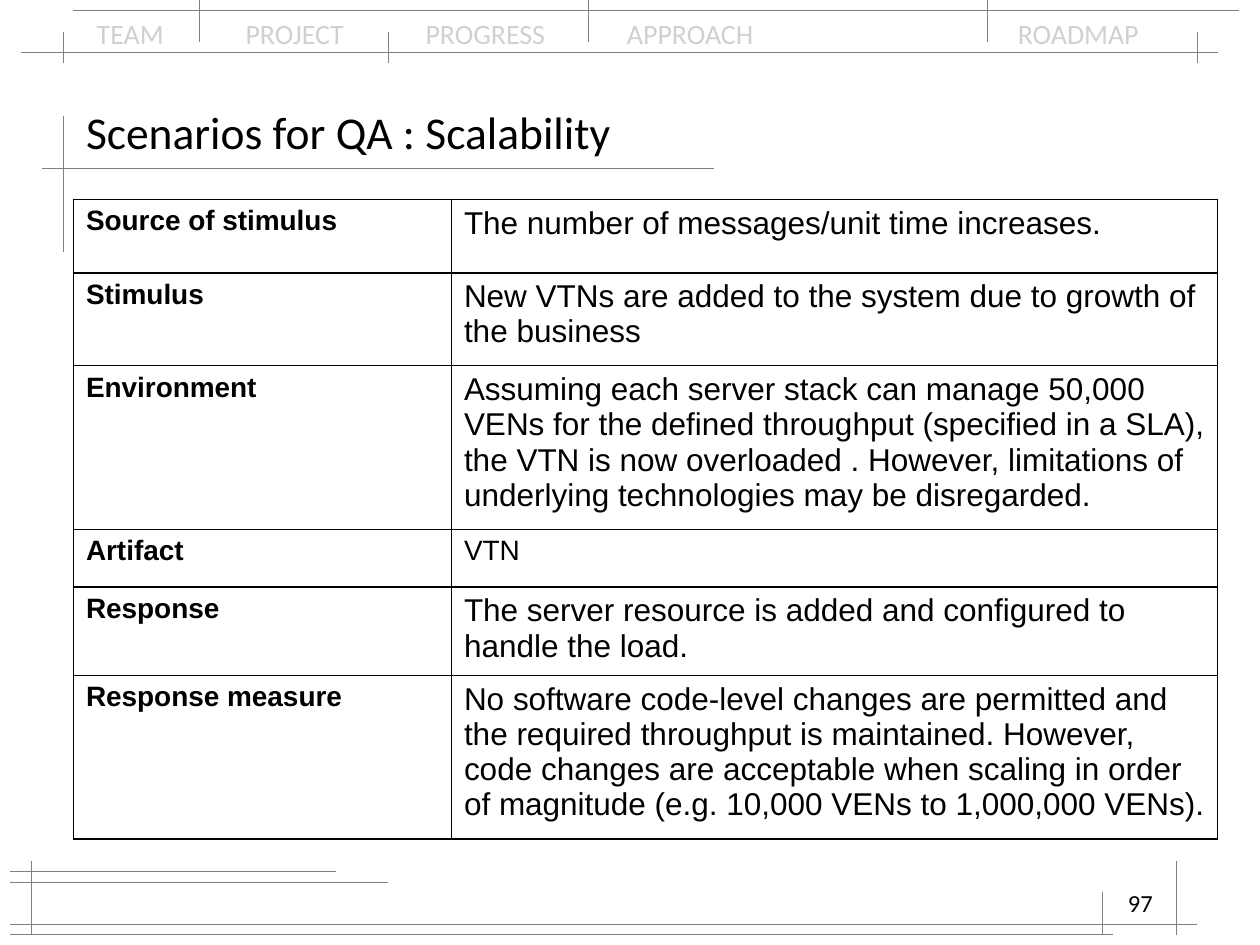
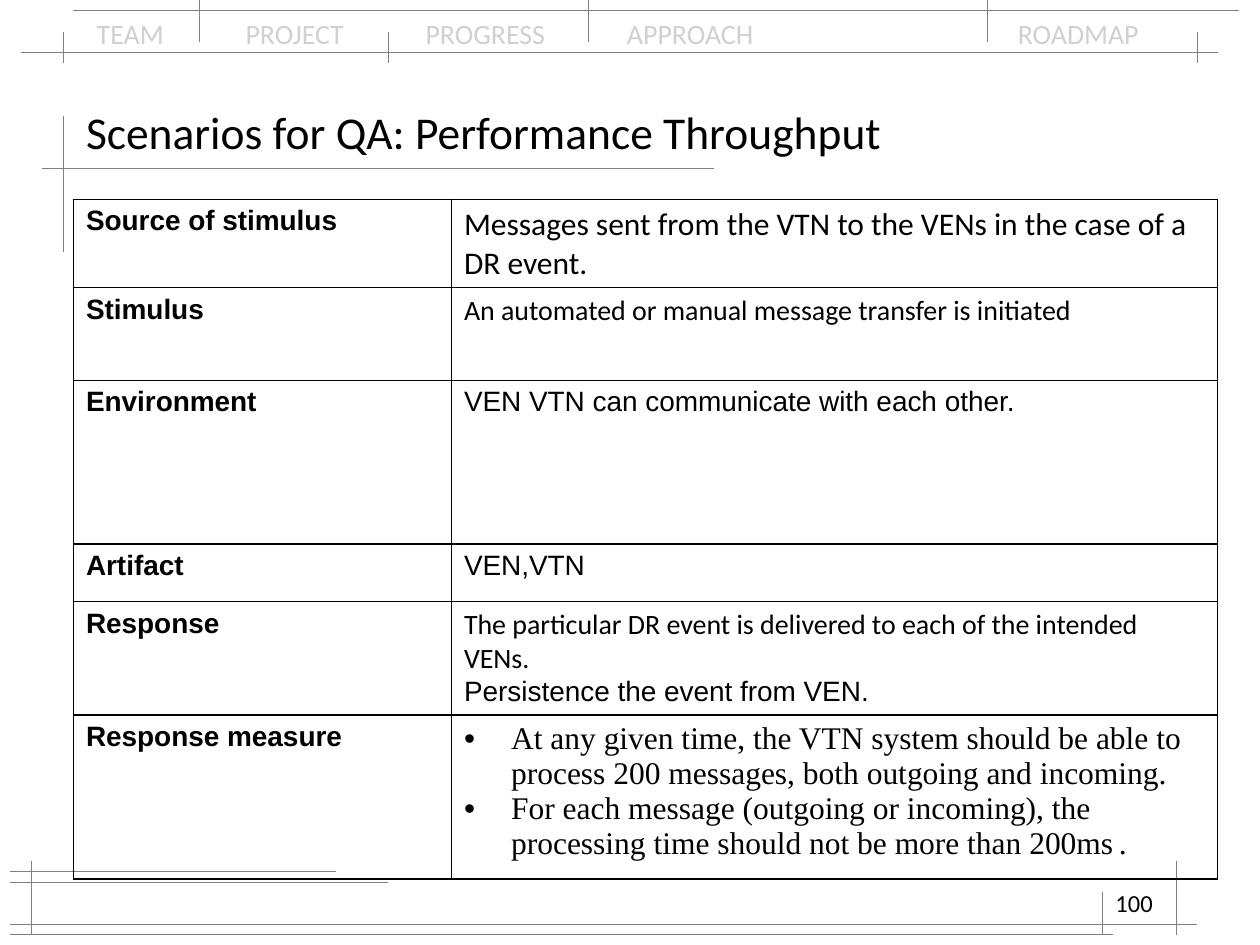
import pptx
import pptx.dml.color
import pptx.enum.shapes
import pptx.enum.text
import pptx.oxml
import pptx.oxml.ns
import pptx.util
from lxml import etree

Cm = pptx.util.Cm
ALIGN = pptx.enum.text.PP_ALIGN
ANCHOR = pptx.enum.text.MSO_ANCHOR

COLORS = {"ink": "000000", "rule": "808080", "muted": "D0D0D0"}

SECTIONS = ["TEAM", "PROJECT", "PROGRESS", "APPROACH", "ROADMAP"]
SECTION_TABS = [3, 6.63, 10.69, 18.57]

HORIZONTAL_RULES = [
    (0.42, 24.55, 1.06), (1.48, 24.98, 0.21), (0.85, 14.39, 3.39),
    (0.21, 7.83, 17.78), (0.21, 24.13, 18.63), (0.21, 6.77, 17.57),
    (0.21, 22.44, 18.84),
]
VERTICAL_RULES = [
    ((1.27,), 2.33, 5.08),
    ((0.64, 23.71), 17.36, 18.84),
    ((22.23,), 17.99, 18.84),
    ((1.27, 7.83, 24.13), 0.64, 1.27),
    ((4.02, 11.85, 19.9), 0, 0.85),
]

ASPECTS = ["Source of stimulus", "Stimulus", "Environment",
           "Artifact", "Response", "Response measure"]
COLUMN_WIDTHS = [7.62, 15.44]
ROW_HEIGHTS = [1.48, 1.87, 3.3, 1.16, 1.78, 3.3]

LARGE = {"size": 18}
CALIBRI = {"font": "Calibri"}
TIMES = {"font": "Times New Roman", "size": 18}

SCENARIOS = [
    {
        "title": "Scenarios for QA : Scalability",
        "number": "97",
        "answers": [
            [[("The number of messages/unit time increases.", LARGE)]],
            [[("New VTNs are added to the system due to growth of the business", LARGE)]],
            [[("Assuming each server stack can manage 50,000 VENs for the defined "
               "throughput (specified in a SLA), the VTN is now overloaded . However, "
               "limitations of underlying technologies may be disregarded.", LARGE)]],
            [[("VTN", {})]],
            [[("The server resource is added and configured to handle the load.", LARGE)]],
            [[("No software code-level changes are permitted and the required "
               "throughput is maintained. However, code changes are acceptable when "
               "scaling in order of magnitude (e.g. 10,000 VENs to 1,000,000 VENs).", LARGE)]],
        ],
        "bulleted": ["Response measure"][:0],
    },
    {
        "title": "Scenarios for QA: Performance Throughput",
        "number": "100",
        "answers": [
            [[("Messages sent from the VTN to the VENs in the case of a DR event.",
               {**CALIBRI, **LARGE})]],
            [[("An automated or manual message transfer is initiated", CALIBRI)]],
            [[("VEN VTN can communicate with each other.", {})]],
            [[("VEN,VTN", {})]],
            [[("The particular DR event is delivered to each of the intended VENs.", CALIBRI)],
             [("Persistence the event from VEN.", {})]],
            [[("At any given time, the VTN system should be able to process 200 "
               "messages, both outgoing and incoming.", TIMES)],
             [("For each message (outgoing or incoming), the processing time should "
               "not be more than 200ms", TIMES),
              (" ", {**TIMES, "size": 11}), (".", TIMES)]],
        ],
        "bulleted": ["Response measure"],
    },
]


def write_span(para, text, size=16, font="Arial", color="ink", bold=False):
    span = para.add_run()
    span.text = text
    span.font.size = pptx.util.Pt(size)
    span.font.name = font
    span.font.bold = bold
    span.font.color.rgb = pptx.dml.color.RGBColor.from_string(COLORS[color])


def add_element(parent, tag, **attributes):
    values = {name: str(value) for name, value in attributes.items()}
    return etree.SubElement(parent, pptx.oxml.ns.qn(tag), values)


class ScenarioDeck:
    def __init__(self):
        self.deck = pptx.Presentation()
        self.deck.slide_width = Cm(25.4)
        self.deck.slide_height = Cm(19.05)
        self.page = None

    def add_page(self, title):
        self.page = self.deck.slides.add_slide(self.deck.slide_layouts[5])
        box = self.page.shapes.title
        box.left, box.top, box.width, box.height = Cm(1.48), Cm(1.91), Cm(22.43), Cm(1.48)
        frame = box.text_frame
        frame.auto_size = pptx.enum.text.MSO_AUTO_SIZE.NONE
        frame.vertical_anchor = ANCHOR.MIDDLE
        frame.paragraphs[0].alignment = ALIGN.LEFT
        write_span(frame.paragraphs[0], title, size=26, font="Calibri")

    def add_rule(self, left, top, right, bottom):
        rule = self.page.shapes.add_connector(
            pptx.enum.shapes.MSO_CONNECTOR.STRAIGHT,
            Cm(left), Cm(top), Cm(right), Cm(bottom))
        rule.line.width = pptx.util.Pt(0.3)
        rule.line.color.rgb = pptx.dml.color.RGBColor.from_string(COLORS["rule"])
        add_element(rule.element.spPr, "a:effectLst")

    def add_rules(self):
        for left, right, height in HORIZONTAL_RULES:
            self.add_rule(left, height, right, height)
        for places, top, bottom in VERTICAL_RULES:
            for place in places:
                self.add_rule(place, top, place, bottom)

    def add_text(self, text, left, top, width, height, align=ALIGN.LEFT, tabs=(), **style):
        box = self.page.shapes.add_textbox(Cm(left), Cm(top), Cm(width), Cm(height))
        box.text_frame.word_wrap = True
        para = box.text_frame.paragraphs[0]
        para.alignment = align
        if tabs:
            stops = add_element(para._p.get_or_add_pPr(), "a:tabLst")
            for tab in tabs:
                add_element(stops, "a:tab", pos=Cm(tab), algn="l")
        write_span(para, text, **style)

    def add_bullet(self, para):
        properties = para._p.get_or_add_pPr()
        properties.set("marL", str(Cm(0.95)))
        properties.set("indent", str(-Cm(0.95)))
        add_element(properties, "a:buFont", typeface="Arial")
        add_element(properties, "a:buChar", char="•")

    def fill_cell(self, cell, paragraphs, bulleted=False):
        properties = cell._tc.get_or_add_tcPr()
        for side in "LRTB":
            border = add_element(properties, f"a:ln{side}", w=pptx.util.Pt(1))
            fill = add_element(border, "a:solidFill")
            add_element(fill, "a:srgbClr", val=COLORS["ink"])
        cell.fill.background()
        frame = cell.text_frame
        for index, spans in enumerate(paragraphs):
            para = frame.add_paragraph() if index else frame.paragraphs[0]
            if bulleted:
                self.add_bullet(para)
            for text, style in spans:
                write_span(para, text, **style)

    def add_scenario_table(self, answers, bulleted):
        table = self.page.shapes.add_table(
            len(ASPECTS), len(COLUMN_WIDTHS), Cm(1.48), Cm(4.02),
            Cm(sum(COLUMN_WIDTHS)), Cm(sum(ROW_HEIGHTS))).table
        table.first_row = False
        table.horz_banding = False
        for column, width in zip(table.columns, COLUMN_WIDTHS):
            column.width = Cm(width)
        for index, (aspect, answer) in enumerate(zip(ASPECTS, answers)):
            table.rows[index].height = Cm(ROW_HEIGHTS[index])
            self.fill_cell(table.cell(index, 0), [[(aspect, {"bold": True})]])
            self.fill_cell(table.cell(index, 1), answer, aspect in bulleted)

    def add_scenario(self, title, number, answers, bulleted):
        self.add_page(title)
        self.add_text("\t".join(SECTIONS), 1.7, 0.21, 22.01, 0.94,
                      tabs=SECTION_TABS, font="Calibri", color="muted")
        self.add_rules()
        self.add_text(number, 18.2, 17.78, 5.29, 1.27,
                      align=ALIGN.RIGHT, size=14, font="Calibri")
        self.add_scenario_table(answers, bulleted)


def main():
    scenario_deck = ScenarioDeck()
    for scenario in SCENARIOS:
        scenario_deck.add_scenario(**scenario)
    scenario_deck.deck.save("out.pptx")


if __name__ == "__main__":
    main()
